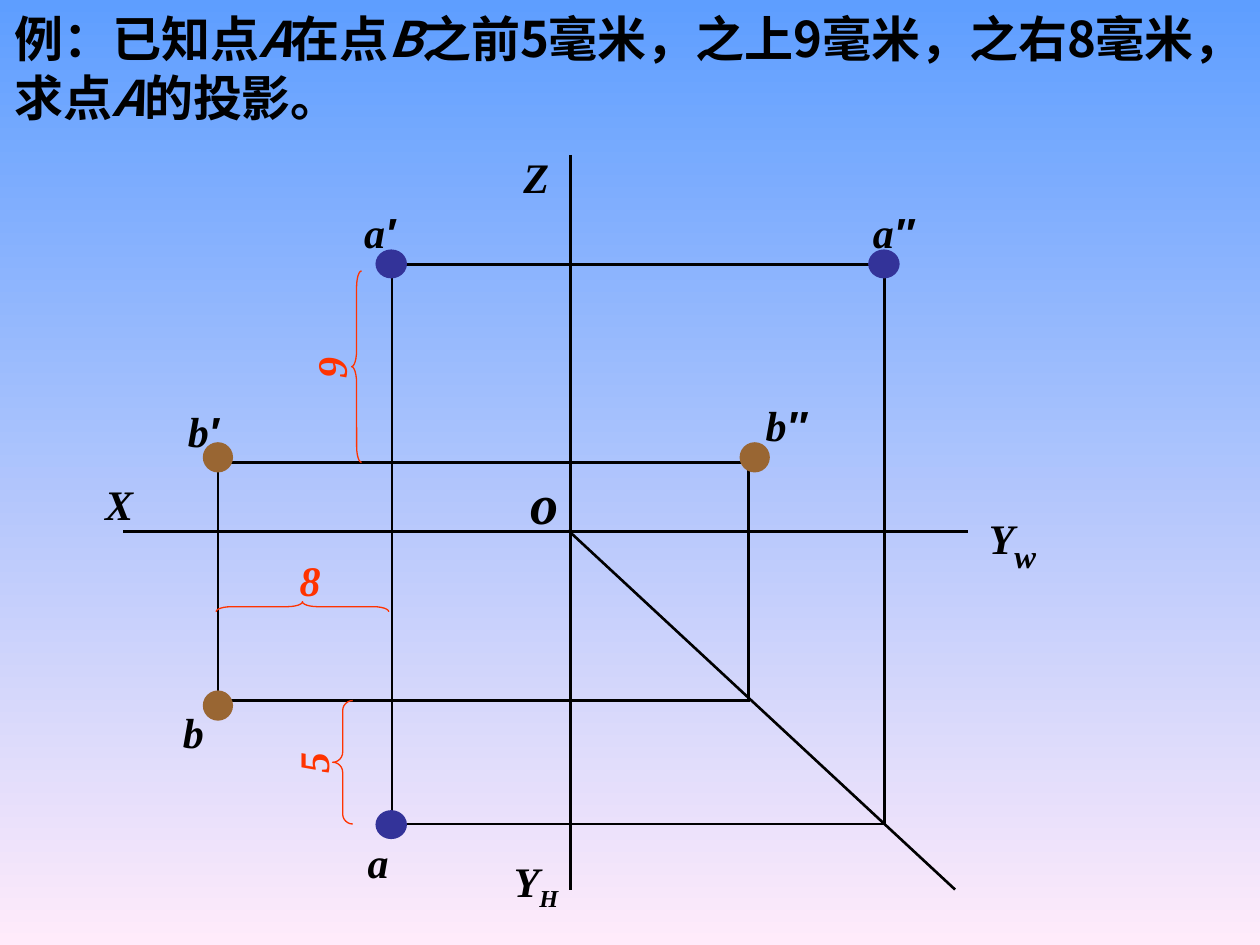
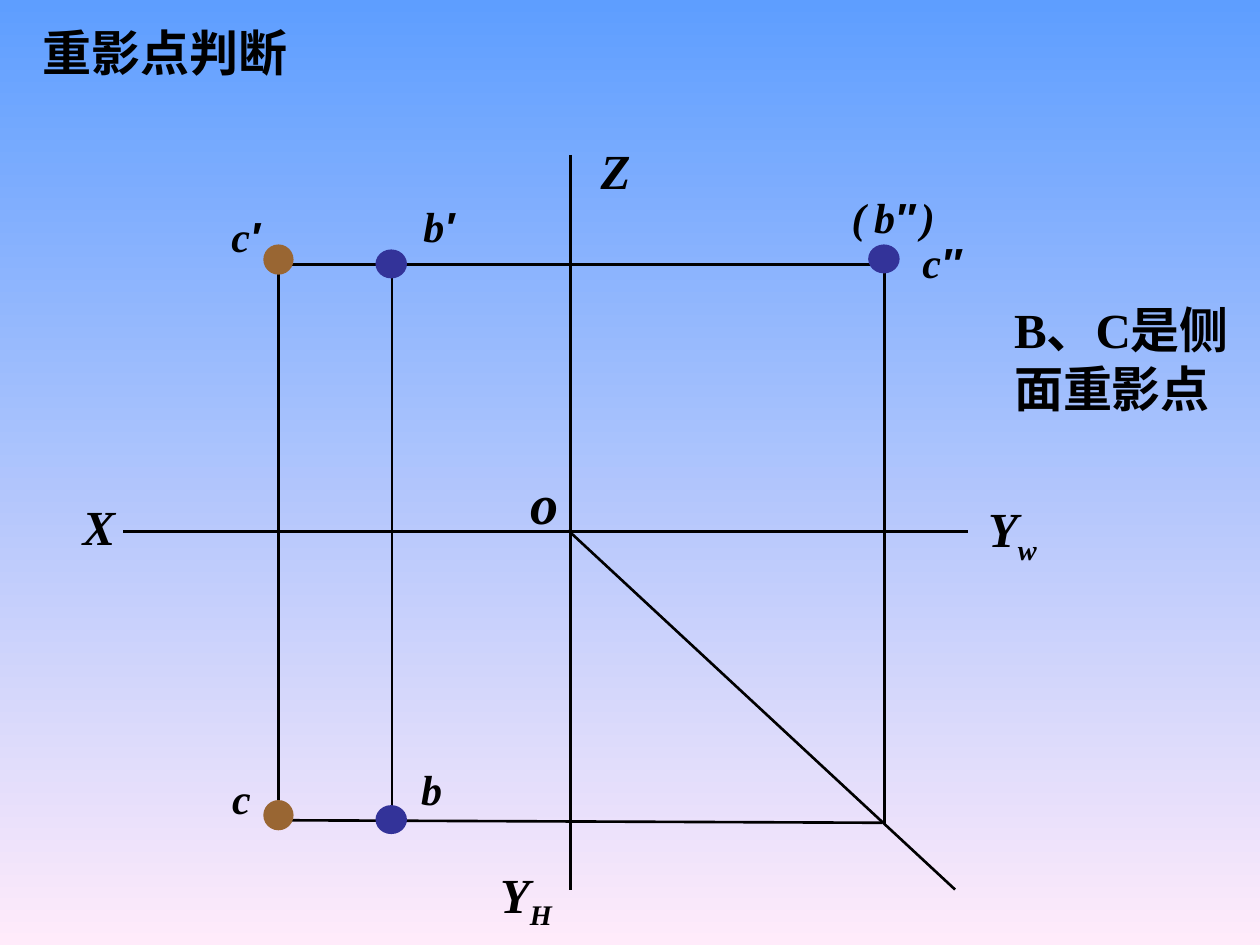
from dataclasses import dataclass
from lxml.etree import SubElement
from pptx import Presentation
from pptx.dml.color import RGBColor
from pptx.enum.shapes import MSO_CONNECTOR, MSO_SHAPE
from pptx.enum.text import MSO_ANCHOR, MSO_AUTO_SIZE, PP_ALIGN
from pptx.oxml.ns import qn
from pptx.util import Inches, Pt


@dataclass(frozen=True)
class Theme:
    sky: RGBColor = RGBColor.from_string("5E9EFF")
    blush: RGBColor = RGBColor.from_string("FFEBFA")
    ink: RGBColor = RGBColor.from_string("000000")
    measure: RGBColor = RGBColor.from_string("FF3300")
    blue: RGBColor = RGBColor.from_string("333399")
    brown: RGBColor = RGBColor.from_string("996633")
    serif: str = "Times New Roman"
    sans: str = "Noto Sans CJK SC"
    prime: str = "Arial"
    point: int = 24
    title: int = 28
    origin: int = 32


theme = Theme()


def add_line(page, x1, y1, x2, y2):
    line = page.shapes.add_connector(
        MSO_CONNECTOR.STRAIGHT, Inches(x1), Inches(y1), Inches(x2), Inches(y2))
    line.line.color.rgb = theme.ink
    line.line.width = Pt(1.5)
    SubElement(line._element.spPr, qn("a:effectLst"))


def add_label(page, at, spans, size=theme.point, font=theme.serif, color=theme.ink,
              italic=True, align=PP_ALIGN.CENTER, wrap=True,
              anchor=MSO_ANCHOR.TOP, rotation=0):
    """Spans are (text, kind) pairs: main, italic, prime or sub."""
    box = page.shapes.add_textbox(*[Inches(length) for length in at])
    box.rotation = rotation
    frame = box.text_frame
    frame.word_wrap = wrap
    frame.vertical_anchor = anchor
    frame.auto_size = MSO_AUTO_SIZE.SHAPE_TO_FIT_TEXT
    para = frame.paragraphs[0]
    para.alignment = align
    para.font.name, para.font.size = font, Pt(size)
    para.font.bold, para.font.italic = True, italic
    para.font.color.rgb = color
    for text, kind in spans:
        span = para.add_run()
        span.text = text
        if kind == "italic":
            span.font.italic = True
        elif kind == "prime":
            span.font.name = theme.prime
        elif kind == "sub":
            span.font._element.set("baseline", "-25000")
            if text == "w" and size == theme.point:
                span.font.size = Pt(theme.origin)


deck = Presentation()
deck.slide_width, deck.slide_height = Inches(10), Inches(7.5)

# Coordinates shared by both drawings
left, right, top, bottom = 3.11, 7.02, 2.1, 6.54
axes = [(0.98, 4.22, 7.68, 4.22), (4.53, 1.23, 4.53, 7.06), (4.51, 4.21, 7.58, 7.06)]
frame_lines = [(left, top, left, bottom), (right, top, right, bottom)]

drawings = [
    {
        "title": ((0.02, 0.02, 9.92, 1.04), theme.sans, [
            ("例：已知点", "main"), ("A", "italic"), ("在点", "main"), ("B", "italic"),
            ("之前5毫米，之上9毫米，之右8毫米，求点", "main"),
            ("A", "italic"), ("的投影。", "main")]),
        "lines": [(left, top, right, top), (left, bottom, right, bottom),
                  (1.69, 3.67, 6.02, 3.67), (1.73, 3.67, 1.73, 5.56),
                  (1.69, 5.56, 5.95, 5.56), (5.94, 3.67, 5.94, 5.56)],
        "blue": [(2.98, 1.98), (6.89, 1.98), (2.98, 6.43)],
        "brown": [(1.61, 3.51), (5.87, 3.51), (1.61, 5.48)],
        "axis_size": theme.point,
        "axis_labels": [("Z", "", 3.98, 1.15, 0.55), ("X", "", 0.67, 3.75, 0.55),
                        ("Y", "w", 7.68, 3.91, 0.71), ("Y", "H", 3.9, 6.74, 0.71)],
        "points": [("a", "′ ", 2.78, 1.59, 0.56), ("a", "″ ", 6.79, 1.59, 0.6),
                   ("a", "", 2.82, 6.59, 0.36), ("b", "′ ", 1.38, 3.17, 0.56),
                   ("b", "″ ", 5.94, 3.12, 0.6), ("b", "", 1.3, 5.56, 0.47)],
    },
    {
        "title": ((0.24, 0.13, 9.57, 0.57), theme.serif, [("重影点判断", "main")]),
        "lines": [(2.24, top, right, top), (2.24, 6.51, 7, 6.53),
                  (2.21, 2.06, 2.21, 6.52)],
        "blue": [(2.98, 1.98), (6.89, 1.94), (2.98, 6.39)],
        "brown": [(2.09, 6.35), (2.09, 1.94)],
        "axis_size": theme.title,
        "axis_labels": [("Z", "", 4.61, 1.07, 0.55), ("X", "", 0.51, 3.89, 0.55),
                        ("Y", "w", 7.68, 3.91, 0.71), ("Y", "H", 3.82, 6.81, 0.71)],
        "points": [("c", "′", 1.72, 1.62, 0.46), ("c", "″ ", 7.18, 1.83, 0.59),
                   ("c", "", 1.74, 6.08, 0.35), ("b", "′ ", 3.25, 1.54, 0.56),
                   ("b", "″ ", 6.8, 1.47, 0.6), ("b", "", 3.19, 6.01, 0.47),
                   ("(", "", 6.66, 1.47, 0.31), (")", "", 7.21, 1.47, 0.31)],
    },
]

for drawing in drawings:
    page = deck.slides.add_slide(deck.slide_layouts[6])

    # Background gradient, top to bottom
    fill = page.background.fill
    fill.gradient()
    fill.gradient_angle = 270
    for stop, color, position in zip(fill.gradient_stops, (theme.sky, theme.blush), (0, 1)):
        stop.color.rgb = color
        stop.position = position

    # Title
    title_at, title_font, title_spans = drawing["title"]
    add_label(page, title_at, title_spans, theme.title, title_font,
              italic=False, align=PP_ALIGN.LEFT)

    # Axes and projection lines
    for ends in axes + frame_lines + drawing["lines"]:
        add_line(page, *ends)

    # Projected points
    for kind, color, width, height in (("blue", theme.blue, 0.25, 0.23),
                                       ("brown", theme.brown, 0.24, 0.24)):
        for x, y in drawing[kind]:
            dot = page.shapes.add_shape(MSO_SHAPE.OVAL, Inches(x), Inches(y),
                                        Inches(width), Inches(height))
            dot.shadow.inherit = False
            dot.fill.solid()
            dot.fill.fore_color.rgb = color
            dot.line.fill.background()

    # Axis, origin and point names
    for name, sub, x, y, width in drawing["axis_labels"]:
        spans = [(name, "main")] + ([(sub, "sub")] if sub else [])
        add_label(page, (x, y, width, 0.57), spans, drawing["axis_size"])
    add_label(page, (4.05, 3.67, 0.55, 0.64), [("o", "main")], theme.origin)
    for name, prime, x, y, width in drawing["points"]:
        spans = [(name, "main")] + ([(prime, "prime")] if prime else [])
        add_label(page, (x, y, width, 0.5), spans, wrap=False, anchor=MSO_ANCHOR.MIDDLE)

# Measured distances on the first slide: number, its place, brace, curve, turns
measures = [
    ("9", (2.44, 2.67), (2.79, 2.15, 0.08, 1.52), 1.6, 270, 0),
    ("8", (2.28, 4.35), (2.36, 4.13, 0.08, 1.37), 1.5, 0, 90),
    ("5", (2.3, 5.81), (2.64, 5.56, 0.16, 0.98), 0.5, 270, 0),
]
page = deck.slides[0]
for number, place, brace_at, curve, number_turn, brace_turn in measures:
    add_label(page, (*place, 0.36, 0.5), [(number, "main")], color=theme.measure,
              wrap=False, anchor=MSO_ANCHOR.MIDDLE, rotation=number_turn)
    brace = page.shapes.add_shape(MSO_SHAPE.LEFT_BRACE,
                                  *[Inches(length) for length in brace_at])
    brace.shadow.inherit = False
    brace.rotation = brace_turn
    brace.adjustments[0] = curve
    brace.fill.background()
    brace.line.color.rgb = theme.measure
    brace.line.width = Pt(0.75)

# Conclusion on the second slide
add_label(deck.slides[1], (7.95, 2.33, 2.05, 1.5), [("B、C是侧面重影点", "main")],
          theme.title, italic=False, align=PP_ALIGN.LEFT)

deck.save("out.pptx")
